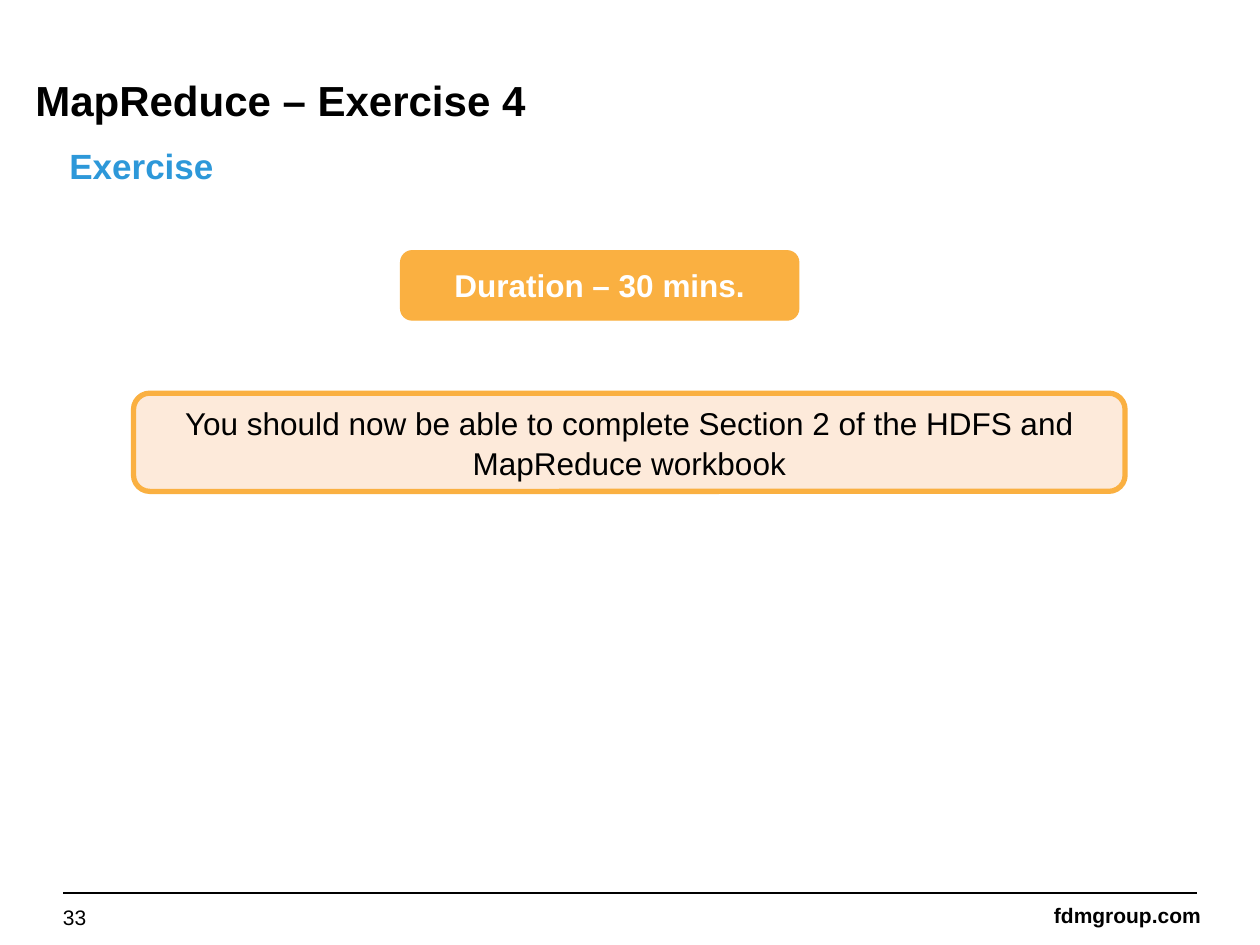
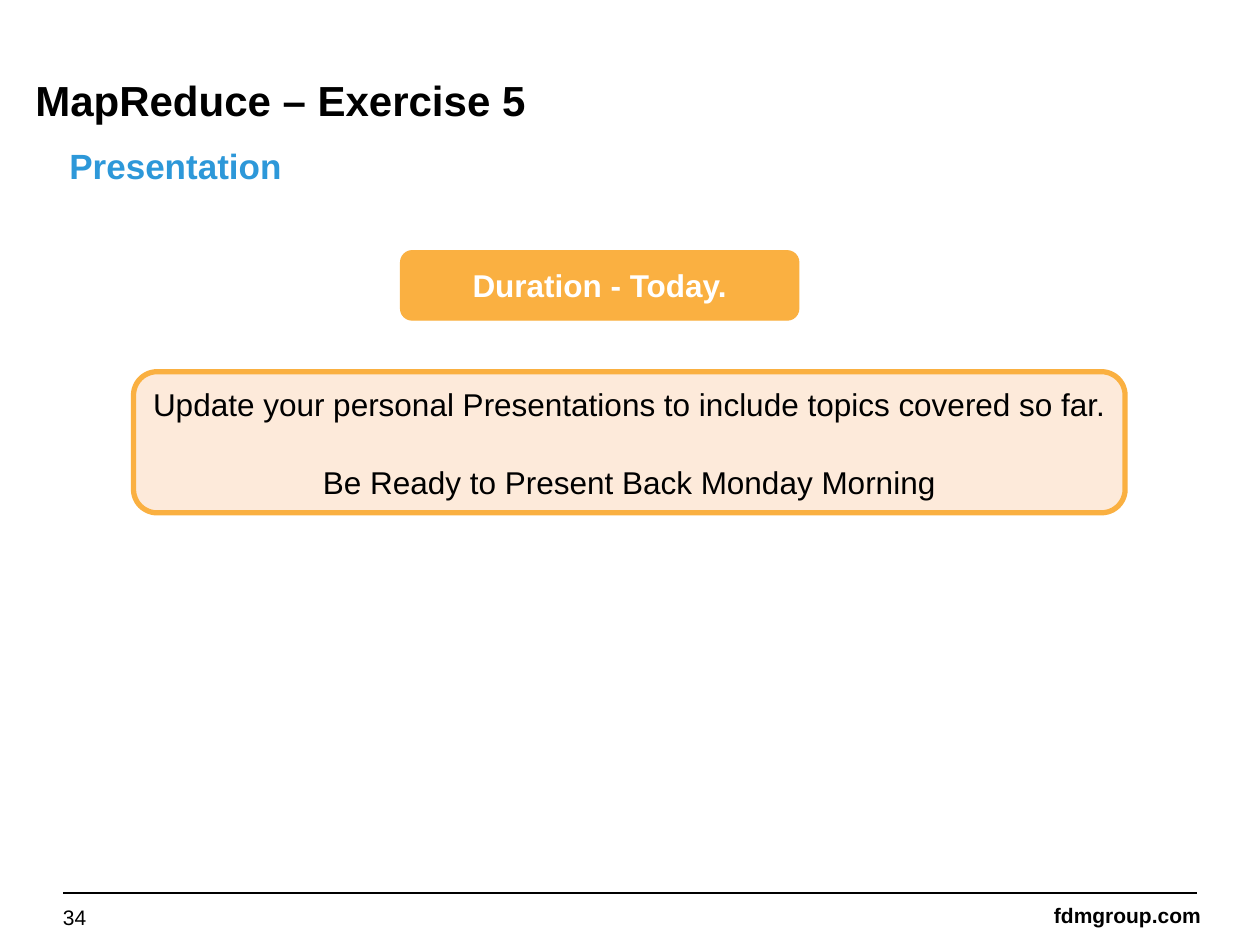
from dataclasses import dataclass

from lxml.etree import SubElement
from pptx import Presentation
from pptx.dml.color import RGBColor
from pptx.enum.shapes import MSO_CONNECTOR, MSO_SHAPE
from pptx.enum.text import MSO_ANCHOR, MSO_AUTO_SIZE, PP_ALIGN
from pptx.oxml.ns import qn
from pptx.util import Inches, Pt


@dataclass(frozen=True)
class Theme:
    font: str = "Arial"
    ink: RGBColor = RGBColor(0x00, 0x00, 0x00)
    white: RGBColor = RGBColor(0xFF, 0xFF, 0xFF)
    blue: RGBColor = RGBColor(0x2D, 0x98, 0xD9)
    orange: RGBColor = RGBColor(0xFA, 0xB0, 0x41)
    peach: RGBColor = RGBColor(0xFD, 0xEA, 0xDA)
    title_size: int = 24
    subtitle_size: int = 20
    body_size: int = 18
    footer_size: int = 12
    line_spacing: float = 1.05
    paragraph_gap: float = 21.75


THEME = Theme()

# Boxes are left, top, width, height in inches
TITLE_BOX = (0.2, 0.51, 9.2, 0.55)
SUBTITLE_BOX = (0.47, 1.07, 4.21, 0.5)
DURATION_BOX = (3.18, 1.99, 3.16, 0.55)
FOOTER_BOX = (0.5, 7.09, 9, 0.32)
TASK_LEFT, TASK_WIDTH, TASK_MIDDLE = 1.06, 7.87, 3.51

EXERCISES = [
    dict(
        number=33,
        title="MapReduce – Exercise 4",
        subtitle="Exercise",
        duration="Duration – 30 mins.",
        task=["You should now be able to complete Section 2 of the HDFS and "
              "MapReduce workbook"],
        task_height=0.78,
    ),
    dict(
        number=34,
        title="MapReduce – Exercise 5",
        subtitle="Presentation",
        duration="Duration - Today.",
        task=["Update your personal Presentations to include topics covered so far.",
              "Be Ready to Present Back Monday Morning"],
        task_height=1.12,
    ),
]


def write(frame, lines, size, color, bold=False, align=PP_ALIGN.LEFT,
          anchor=MSO_ANCHOR.TOP, inset=None, wrap=True):
    frame.word_wrap = wrap
    frame.auto_size = MSO_AUTO_SIZE.NONE
    frame.vertical_anchor = anchor
    if inset is not None:
        frame.margin_left = frame.margin_right = Inches(inset)
        frame.margin_top = frame.margin_bottom = Inches(inset)
    for index, line in enumerate(lines):
        paragraph = frame.add_paragraph() if index else frame.paragraphs[0]
        paragraph.alignment = align
        if index:
            paragraph.space_before = Pt(THEME.paragraph_gap)
        run = paragraph.add_run()
        run.text = line
        run.font.name = THEME.font
        run.font.size = Pt(size)
        run.font.bold = bold
        run.font.color.rgb = color


def add_label(slide, box, text, size, color, **style):
    label = slide.shapes.add_textbox(*map(Inches, box))
    write(label.text_frame, [text], size, color, **style)


def add_panel(slide, box, lines, fill, line_width, color, bold=False):
    panel = slide.shapes.add_shape(MSO_SHAPE.ROUNDED_RECTANGLE, *map(Inches, box))
    panel.shadow.inherit = False
    panel.fill.solid()
    panel.fill.fore_color.rgb = fill
    panel.line.color.rgb = THEME.orange
    panel.line.width = Pt(line_width)
    write(panel.text_frame, lines, THEME.body_size, color, bold=bold,
          align=PP_ALIGN.CENTER, anchor=MSO_ANCHOR.MIDDLE)
    return panel


def add_heading(slide, title, subtitle):
    heading = slide.shapes.title
    heading.left, heading.top, heading.width, heading.height = map(Inches, TITLE_BOX)
    write(heading.text_frame, [title], THEME.title_size, THEME.ink,
          bold=True, inset=0.08)
    add_label(slide, SUBTITLE_BOX, subtitle, THEME.subtitle_size, THEME.blue,
              bold=True, inset=0.08)


def add_task(slide, lines, height):
    box = (TASK_LEFT, TASK_MIDDLE - height / 2, TASK_WIDTH, height)
    task = add_panel(slide, box, lines, THEME.peach, 3, THEME.ink)
    for paragraph in task.text_frame.paragraphs:
        paragraph.line_spacing = THEME.line_spacing


def add_footer(slide, box, number):
    left, top, width, _ = box
    # Rule above the footer
    rule = slide.shapes.add_connector(
        MSO_CONNECTOR.STRAIGHT,
        Inches(left), Inches(top), Inches(left + width), Inches(top))
    rule.line.color.rgb = THEME.ink
    rule.line.width = Pt(1)
    SubElement(rule.element.spPr, qn("a:effectLst"))
    # Slide number and web address
    add_label(slide, (left, top + 0.09, 2.33, 0.2), str(number),
              THEME.footer_size, THEME.ink, anchor=MSO_ANCHOR.MIDDLE, inset=0)
    add_label(slide, (left + width - 1.25, top + 0.02, 1.38, 0.3), "fdmgroup.com",
              THEME.footer_size, THEME.ink, bold=True, align=PP_ALIGN.RIGHT,
              anchor=MSO_ANCHOR.MIDDLE, wrap=False)


def add_exercise_slide(deck, exercise):
    slide = deck.slides.add_slide(deck.slide_layouts.get_by_name("Title Only"))
    add_footer(slide, FOOTER_BOX, exercise["number"])
    add_heading(slide, exercise["title"], exercise["subtitle"])
    add_task(slide, exercise["task"], exercise["task_height"])
    add_panel(slide, DURATION_BOX, [exercise["duration"]], THEME.orange, 0.75,
              THEME.white, bold=True)


def main():
    deck = Presentation()
    deck.slide_width, deck.slide_height = Inches(10), Inches(7.5)
    for exercise in EXERCISES:
        add_exercise_slide(deck, exercise)
    deck.save("out.pptx")


if __name__ == "__main__":
    main()
